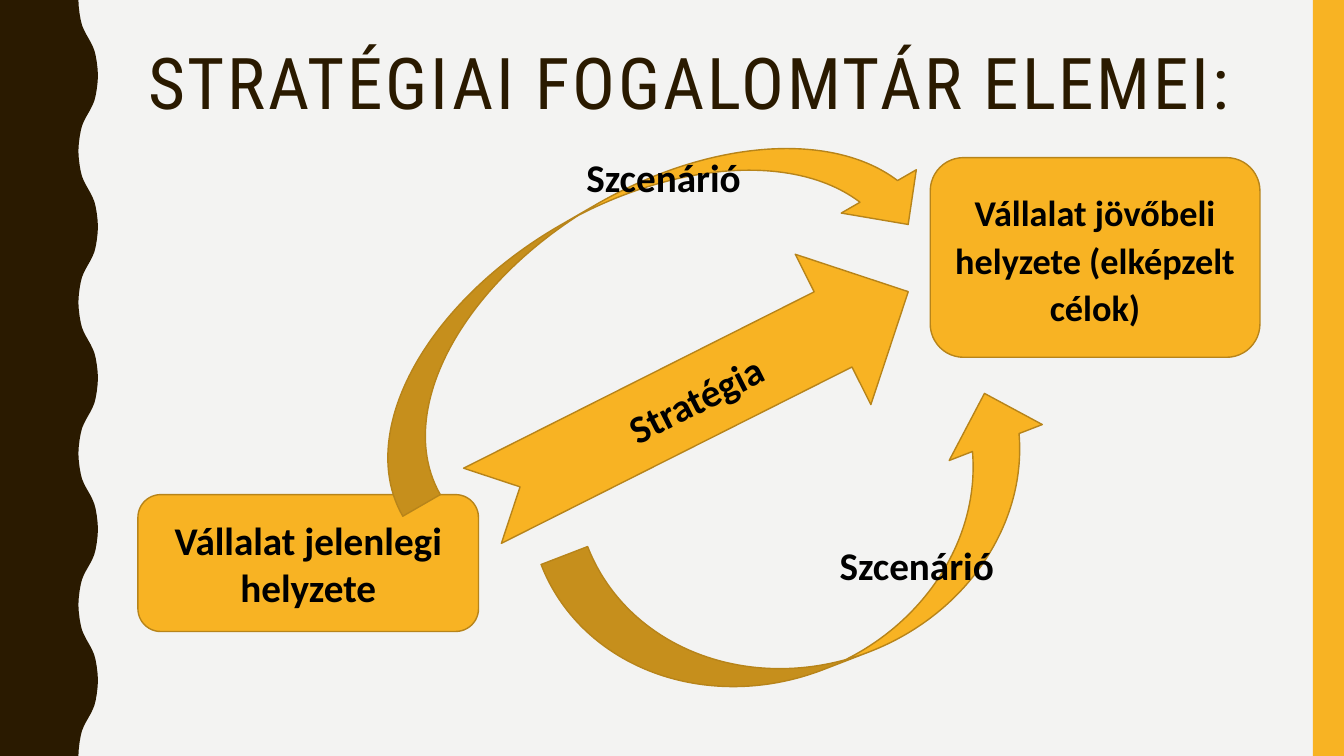
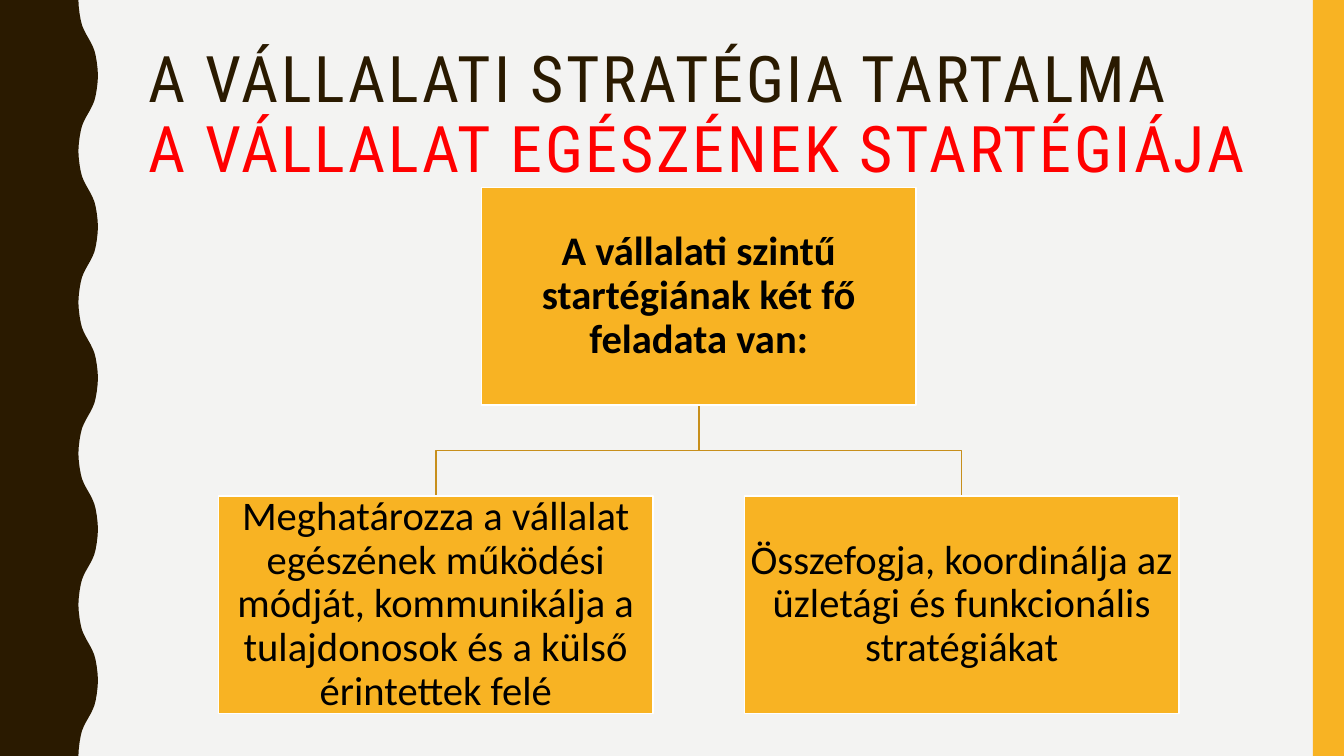
from lxml import etree
from pptx import Presentation
from pptx.dml.color import RGBColor
from pptx.enum import shapes, text
from pptx.oxml import ns
from pptx.util import Pt

WIDTH, HEIGHT = 960, 540
BAND_LEFT = 937.8
PAPER, DARK, AMBER, EDGE = "F3F3F2", "2A1A00", "F8B323", "B7841A"
BRANCH, WHITE, BLACK, RED = "C78F1C", "FFFFFF", "000000", "FF0000"
SHAPE = shapes.MSO_SHAPE
WAVE_LEFT, WAVE_DEPTH, WAVE_PERIOD = 56, 14, 108
QUARTER_WAVE = [(0, 0), (0.3, 5), (0.9, 10), (1.7, 14.5),
                (2.6, 18), (3.8, 21), (5.3, 24), (7, 27)]


def color(hex_code):
    return RGBColor.from_string(hex_code)


def paint(shape, fill=None, line=None):
    shape.shadow.inherit = False
    if fill:
        shape.fill.solid()
        shape.fill.fore_color.rgb = color(fill)
    else:
        shape.fill.background()
    if line:
        shape.line.color.rgb = color(line)
        shape.line.width = Pt(1)
    else:
        shape.line.fill.background()


def write(shape, *lines, size=28, font="Calibri", colors=(BLACK,), bold=False,
          align=text.PP_ALIGN.CENTER, anchor=text.MSO_ANCHOR.MIDDLE,
          leading=1, inset=None, tracking=0):
    frame = shape.text_frame
    frame.word_wrap = True
    frame.vertical_anchor = anchor
    if inset is not None:
        frame.margin_left = frame.margin_right = Pt(inset)
        frame.margin_top = frame.margin_bottom = Pt(inset)
    paragraph = frame.paragraphs[0]
    paragraph.alignment = align
    paragraph.line_spacing = leading
    for index, (line, line_color) in enumerate(zip(lines, colors)):
        if index:
            paragraph.add_line_break()
        run = paragraph.add_run()
        run.text = line
        run.font.size = Pt(size)
        run.font.name = font
        run.font.bold = bold
        run.font.color.rgb = color(line_color)
        if tracking:
            run.font._element.set("spc", str(tracking * 100))
    for line_break in paragraph._p.findall(ns.qn("a:br")):
        properties = etree.SubElement(line_break, ns.qn("a:rPr"))
        properties.set("sz", str(round(size * 100)))


def add_panel(slide, preset, left, top, width, height, fill=AMBER, line=EDGE,
              rotation=0):
    panel = slide.shapes.add_shape(preset, Pt(left), Pt(top), Pt(width), Pt(height))
    paint(panel, fill, line)
    panel.rotation = rotation
    return panel


def add_label(slide, left, top, width, height, *lines, **style):
    label = slide.shapes.add_textbox(Pt(left), Pt(top), Pt(width), Pt(height))
    write(label, *lines, align=text.PP_ALIGN.LEFT, anchor=text.MSO_ANCHOR.TOP, **style)


def add_outline(slide, points, close, fill=None, line=None):
    start, *rest = [(Pt(x), Pt(y)) for x, y in points]
    builder = slide.shapes.build_freeform(*start)
    builder.add_line_segments(rest, close=close)
    paint(builder.convert_to_shape(), fill, line)


def add_wave_band(slide):
    half = QUARTER_WAVE + [(WAVE_DEPTH - x, WAVE_PERIOD / 2 - y)
                           for x, y in QUARTER_WAVE[-2::-1]]
    period = half + [(x, WAVE_PERIOD - y) for x, y in half[-2::-1]]
    edge = [(WAVE_LEFT + x, start + y)
            for start in range(0, HEIGHT, WAVE_PERIOD) for x, y in period]
    add_outline(slide, [(0, 0), *edge, (0, HEIGHT)], close=True, fill=DARK)


def add_slide(deck, *title, size, height, colors=(DARK,)):
    slide = deck.slides.add_slide(deck.slide_layouts[6])
    slide.background.fill.solid()
    slide.background.fill.fore_color.rgb = color(PAPER)
    add_wave_band(slide)
    add_panel(slide, SHAPE.RECTANGLE, BAND_LEFT, 0, WIDTH - BAND_LEFT, HEIGHT, line=None)
    add_label(slide, 98.8, 30.3, 801.4, height, *title, size=size, colors=colors,
              font="Roboto Condensed", leading=0.9, tracking=2)
    return slide


def build_concepts(deck):
    slide = add_slide(deck, "STRATÉGIAI FOGALOMTÁR ELEMEI:", size=51, height=68.5)
    present = add_panel(slide, SHAPE.ROUNDED_RECTANGLE, 98.5, 353.3, 243.3, 97.8)
    write(present, "Vállalat jelenlegi helyzete", bold=True)
    future = add_panel(slide, SHAPE.ROUNDED_RECTANGLE, 664.5, 112.6, 235.5, 142.6)
    write(future, "Vállalat jövőbeli helyzete (elképzelt célok)",
          size=25.9, bold=True, leading=1.1)
    add_panel(slide, SHAPE.CURVED_UP_ARROW, 399.6, 330.9, 375.1, 142.6, rotation=338.9)
    add_panel(slide, SHAPE.CURVED_DOWN_ARROW, 226.8, 141.3, 447.8, 123.8, rotation=330)
    strategy = add_panel(slide, SHAPE.NOTCHED_RIGHT_ARROW, 326.5, 224.7, 340.4, 120.2,
                         rotation=333.3)
    write(strategy, "Stratégia", bold=True)
    for left, top in [(411.8, 105.8), (592.6, 383)]:
        add_label(slide, left, top, 165.6, 41, "Szcenárió", bold=True)


def build_tasks(deck):
    slide = add_slide(deck, "A VÁLLALATI STRATÉGIA TARTALMA",
                      "A VÁLLALAT EGÉSZÉNEK STARTÉGIÁJA",
                      size=45.9, height=103.7, colors=(DARK, RED))
    box_width, box_height = 310.4, 155.2
    center, offset = 499.2, 187.8
    parent_top, child_top = 134, 354.4
    parent_bottom = parent_top + box_height
    fork = (parent_bottom + child_top) / 2
    left, right = center - offset, center + offset

    for middle in (right, left):
        add_outline(slide, [(center, parent_bottom), (center, fork),
                            (middle, fork), (middle, child_top)],
                    close=False, line=BRANCH)
    tasks = [
        (center, parent_top, True,
         "A vállalati szintű startégiának két fő feladata van:"),
        (left, child_top, False,
         "Meghatározza a vállalat egészének működési módját, kommunikálja "
         "a tulajdonosok és a külső érintettek felé"),
        (right, child_top, False,
         "Összefogja, koordinálja az üzletági és funkcionális stratégiákat"),
    ]
    for middle, top, bold, task in tasks:
        box = add_panel(slide, SHAPE.RECTANGLE, middle - box_width / 2, top,
                        box_width, box_height, line=WHITE)
        write(box, task, size=29, bold=bold, leading=0.9, inset=1.44)


def main():
    deck = Presentation()
    deck.slide_width, deck.slide_height = Pt(WIDTH), Pt(HEIGHT)
    build_concepts(deck)
    build_tasks(deck)
    deck.save("out.pptx")


if __name__ == "__main__":
    main()
